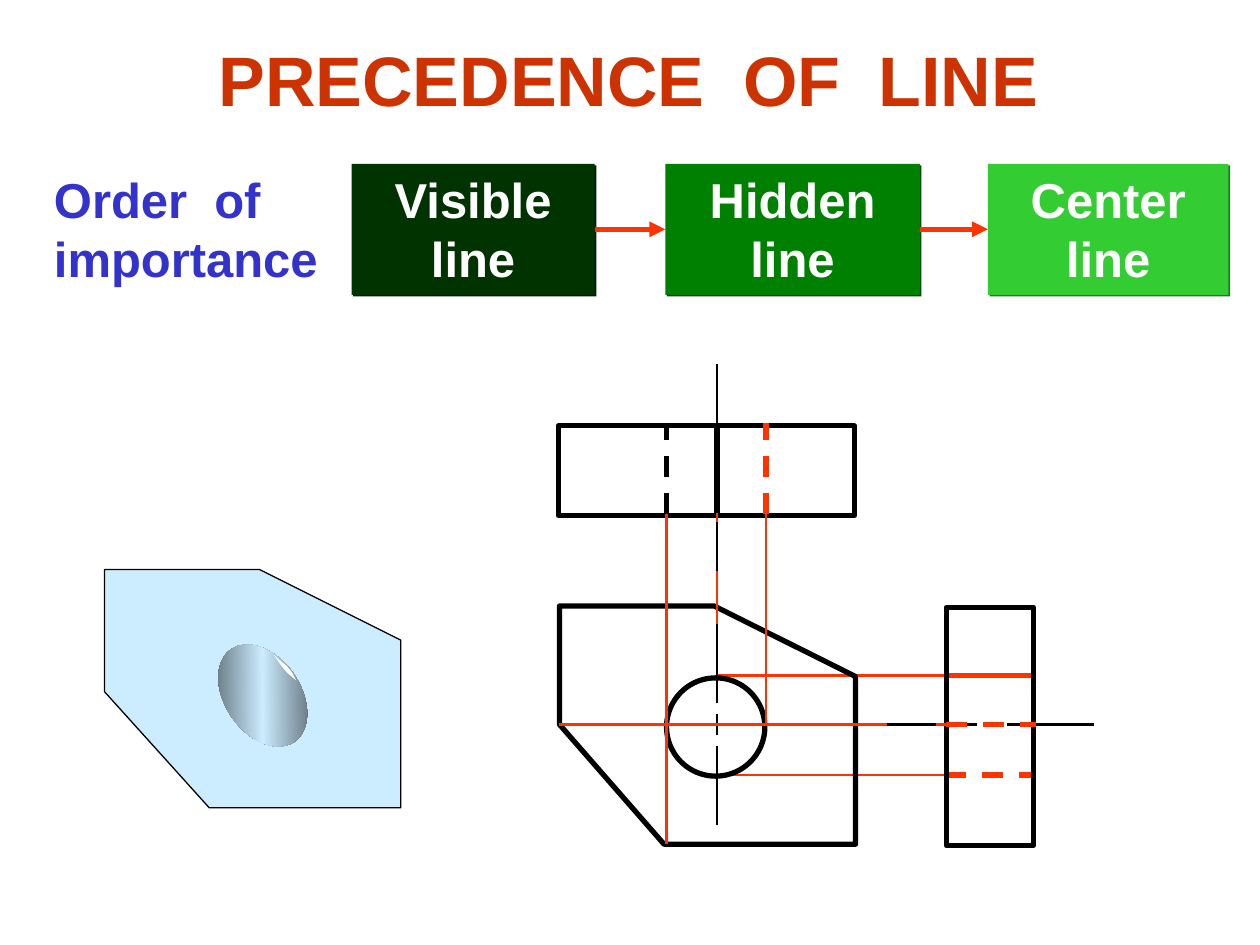
from copy import deepcopy
from lxml import etree
from pptx import Presentation
from pptx.dml.color import RGBColor
from pptx.enum.dml import MSO_LINE
from pptx.enum.shapes import MSO_CONNECTOR, MSO_SHAPE
from pptx.enum.text import MSO_ANCHOR, MSO_AUTO_SIZE, PP_ALIGN
from pptx.oxml.ns import qn
from pptx.util import Inches, Pt

RECTANGLE, OVAL = MSO_SHAPE.RECTANGLE, MSO_SHAPE.OVAL
STRAIGHT, DASH = MSO_CONNECTOR.STRAIGHT, MSO_LINE.DASH
CENTER, LEFT, MIDDLE, TOP = PP_ALIGN.CENTER, PP_ALIGN.LEFT, MSO_ANCHOR.MIDDLE, MSO_ANCHOR.TOP
FIT_SHAPE = MSO_AUTO_SIZE.SHAPE_TO_FIT_TEXT

BLACK, RED, WHITE = "000000", "FF3300", "FFFFFF"
THIN, THICK = 1.5, 3
ROW_TOP, ROW_HEIGHT = 1.3, 1.04
STEPS = [
    ("Visible\nline", 2.79, 1.93, "003300", "001F00"),
    ("Hidden\nline", 5.28, 2.02, "008000", "004D00"),
    ("Center\nline", 7.84, 1.91, "33CC33", "1F7A1F"),
]

SOLID_FACE = [(0.83, 4.52), (0.83, 5.49), (1.66, 6.41), (3.18, 6.41), (3.18, 5.08), (2.06, 4.52)]
HOLE_GLINT = [(2.35, 5.4), (2.28, 5.34), (2.23, 5.28), (2.17, 5.19), (2.22, 5.24), (2.28, 5.29), (2.32, 5.34)]
FRONT_VIEW = [(4.44, 4.81), (4.44, 5.75), (5.27, 6.7), (6.79, 6.7), (6.79, 5.37), (5.67, 4.81)]
HOLE = (5.29, 5.38, 0.78, 0.78)
SIDE_VIEW = (7.51, 4.82, 0.69, 1.89)
TOP_VIEW = (4.43, 3.38, 2.35, 0.71)
AXIS_X, AXIS_Y = 5.69, 5.75
HOLE_LEFT, HOLE_RIGHT, HOLE_TOP, HOLE_BOTTOM = 5.29, 6.08, 5.36, 6.15


def across(y, *spans):
    return [(start, y, end, y) for start, end in spans]


def down(x, *spans):
    return [(x, start, x, end) for start, end in spans]


LINES_BEHIND = [
    (RED, THIN, False, across(HOLE_TOP, (6.78, 7.5), (5.68, 7.51)) + across(HOLE_BOTTOM, (5.68, 7.51))),
    (RED, THICK, False, across(HOLE_TOP, (7.5, 8.21))),
    (RED, THICK, True, across(HOLE_TOP, (7.5, 8.21)) + across(HOLE_BOTTOM, (7.5, 8.21))),
]
LINES_IN_FRONT = [
    (BLACK, THIN, False, across(AXIS_Y, (5.6, 5.76), (5.86, 6.49), (4.87, 5.5))
     + down(AXIS_X, (6.55, 5.92), (5.58, 4.95), (5.83, 5.67))),
    (RED, THIN, False, across(AXIS_Y, (6.48, 7.24))),
    (BLACK, THIN, False, across(AXIS_Y, (7.25, 7.75), (7.99, 8.52), (7.8, 7.93))),
    (RED, THIN, False, across(AXIS_Y, (4.44, 7.51))),
    (RED, THICK, True, across(AXIS_Y, (7.51, 8.22))),
    (RED, THIN, False, down(HOLE_LEFT, (5.75, 4.08)) + down(HOLE_RIGHT, (5.75, 4.08))),
    (RED, THICK, True, down(HOLE_RIGHT, (4.08, 3.36))),
    (RED, THIN, False, down(HOLE_LEFT, (6.7, 4.08))),
    (BLACK, THICK, True, down(HOLE_LEFT, (4.08, 3.36))),
    (RED, THIN, False, down(AXIS_X, (4.95, 4.32))),
    (BLACK, THIN, False, down(AXIS_X, (4.32, 3.82), (3.58, 3.04), (3.76, 3.63))),
    (RED, THIN, False, down(AXIS_X, (4.81, 4.07))),
    (BLACK, THICK, False, down(AXIS_X, (4.07, 3.36))),
    (BLACK, THIN, False, across(AXIS_Y, (8.28, 8.68), (7.04, 7.43))
     + down(AXIS_X, (3.29, 2.89), (4.53, 4.14))),
]


def color(value):
    return RGBColor.from_string(value)


def paint(shape, fill=None, line=None, width=THICK):
    shape.shadow.inherit = False
    if fill:
        shape.fill.solid()
        shape.fill.fore_color.rgb = color(fill)
    else:
        shape.fill.background()
    if line:
        shape.line.color.rgb = color(line)
        shape.line.width = Pt(width)
    else:
        shape.line.fill.background()


def write(shape, text, size, font_color, align, anchor=TOP, wrap=True):
    frame = shape.text_frame
    frame.text = text
    frame.word_wrap = wrap
    frame.vertical_anchor = anchor
    for paragraph in frame.paragraphs:
        paragraph.alignment = align
        for run in paragraph.runs:
            run.font.name = "Arial"
            run.font.size = Pt(size)
            run.font.bold = True
            run.font.color.rgb = color(font_color)


def add_box(slide, kind, box, **style):
    shape = slide.shapes.add_shape(kind, *map(Inches, box))
    paint(shape, **style)
    return shape


def add_outline(slide, points, **style):
    corners = [(Inches(x), Inches(y)) for x, y in points]
    builder = slide.shapes.build_freeform(*corners[0])
    builder.add_line_segments(corners[1:], close=True)
    paint(builder.convert_to_shape(), **style)


def add_line(slide, ends, line_color, width, dashed=False):
    connector = slide.shapes.add_connector(STRAIGHT, *map(Inches, ends))
    connector.line.color.rgb = color(line_color)
    connector.line.width = Pt(width)
    if dashed:
        connector.line.dash_style = DASH
    etree.SubElement(connector._element.spPr, qn("a:effectLst"))
    return connector


def add_lines(slide, layers):
    for line_color, width, dashed, segments in layers:
        for ends in segments:
            add_line(slide, ends, line_color, width, dashed)


def add_drop_shadow(shape, value):
    effects = shape._element.spPr.find(qn("a:effectLst"))
    shadow = etree.SubElement(effects, qn("a:outerShdw"), dist=str(Pt(1.4)),
                              dir="2700000", algn="ctr", rotWithShape="0")
    etree.SubElement(shadow, qn("a:srgbClr"), val=value)


def add_steps(slide):
    boxes = []
    for text, left, width, fill, shadow in STEPS:
        box = add_box(slide, RECTANGLE, (left, ROW_TOP, width, ROW_HEIGHT), fill=fill)
        add_drop_shadow(box, shadow)
        write(box, text, 28, WHITE, CENTER)
        box.text_frame.auto_size = FIT_SHAPE
        boxes.append(box)
    for before, after in zip(boxes, boxes[1:]):
        arrow = add_line(slide, (0, 0, 1, 1), RED, THICK)
        arrow.begin_connect(before, 3)
        arrow.end_connect(after, 1)
        etree.SubElement(arrow.line._get_or_add_ln(), qn("a:tailEnd"), type="triangle")


def add_solid(slide):
    add_outline(slide, SOLID_FACE, fill="CCECFF", line=BLACK, width=0.75)
    hole = add_box(slide, OVAL, (1.64, 5.22, 0.89, 0.6))
    hole.rotation = 55.6
    hole.fill.gradient()
    hole.fill.gradient_angle = 56
    stop_list = next(hole._element.spPr.iter(qn("a:gsLst")))
    stop_list.append(deepcopy(stop_list[1]))
    shades = [(0, "4A555C"), (0.5, "CCECFF"), (1, "4A555C")]
    for stop, (position, shade) in zip(hole.fill.gradient_stops, shades):
        stop.position = position
        stop.color.rgb = color(shade)
    add_outline(slide, HOLE_GLINT, fill=WHITE)


def add_views(slide):
    add_lines(slide, LINES_BEHIND)
    add_outline(slide, FRONT_VIEW, line=BLACK)
    for kind, box in [(OVAL, HOLE), (RECTANGLE, SIDE_VIEW), (RECTANGLE, TOP_VIEW)]:
        add_box(slide, kind, box, line=BLACK)
    add_lines(slide, LINES_IN_FRONT)


def main():
    presentation = Presentation()
    presentation.slide_width, presentation.slide_height = Inches(10), Inches(7.5)
    slide = presentation.slides.add_slide(presentation.slide_layouts[6])
    title = slide.shapes.add_textbox(*map(Inches, (0.74, 0, 8.5, 1.25)))
    write(title, "PRECEDENCE  OF  LINE", 40, "CC3300", CENTER, MIDDLE)
    label = slide.shapes.add_textbox(*map(Inches, (0.33, ROW_TOP, 2.29, ROW_HEIGHT)))
    write(label, "Order  of\nimportance", 28, "3333CC", LEFT, wrap=False)
    label.text_frame.auto_size = FIT_SHAPE
    add_steps(slide)
    add_solid(slide)
    add_views(slide)
    presentation.save("out.pptx")


if __name__ == "__main__":
    main()
